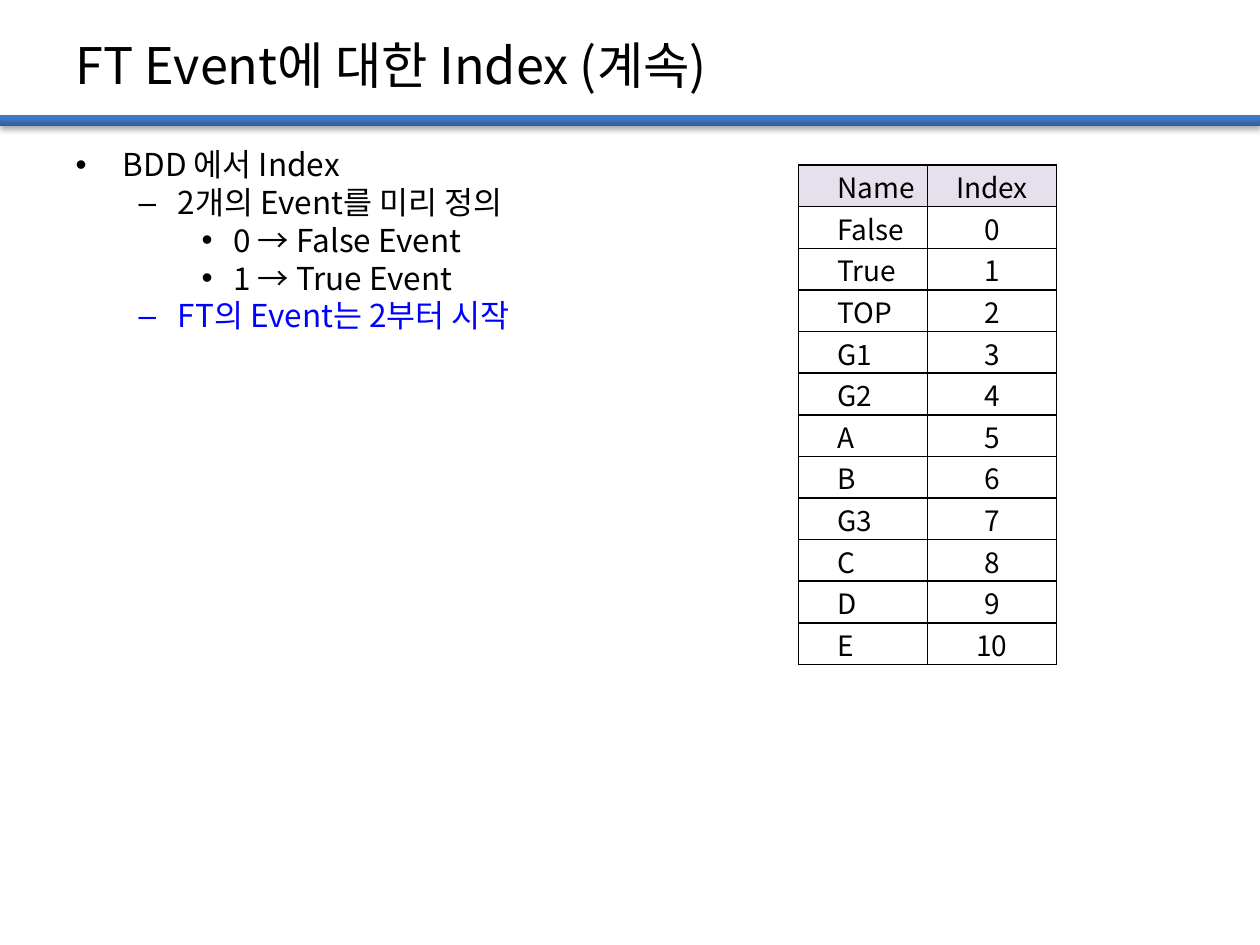
from lxml.etree import SubElement
from pptx import Presentation
from pptx.dml.color import RGBColor
from pptx.enum.shapes import MSO_SHAPE as Shape
from pptx.enum.text import MSO_ANCHOR as Anchor, MSO_AUTO_SIZE as AutoSize, PP_ALIGN as Align
from pptx.oxml import parse_xml
from pptx.oxml.ns import nsdecls, qn
from pptx.util import Pt


def color(value):
    return RGBColor.from_string(value)


def write(paragraph, text, size=18, ink="000000", font="Noto Sans CJK KR", align=Align.LEFT):
    paragraph.alignment = align
    run = paragraph.add_run()
    run.text = text
    run.font.size = Pt(size)
    run.font.name = font
    run.font.color.rgb = color(ink)
    SubElement(run.font._element, qn("a:ea")).set("typeface", font)


class Deck:
    border = "000000"
    header_fill = "E6E0EC"
    bar_stops = ((0, "2F5F99"), (80, "3D7CC7"), (100, "3A7CCB"))
    indents = ((27, -27), (58.5, -22.5), (90, -18))

    def __init__(self, width, height):
        self.file = Presentation()
        self.file.slide_width, self.file.slide_height = Pt(width), Pt(height)
        self.slide = self.file.slides.add_slide(self.file.slide_layouts[1])

    def place(self, placeholder, left, top, width, height, anchor):
        placeholder.left, placeholder.top = Pt(left), Pt(top)
        placeholder.width, placeholder.height = Pt(width), Pt(height)
        frame = placeholder.text_frame
        frame.word_wrap = True
        frame.auto_size = AutoSize.NONE
        frame.vertical_anchor = anchor
        return frame

    def bar(self, left, top, width, height):
        bar = self.slide.shapes.add_shape(Shape.RECTANGLE, Pt(left), Pt(top), Pt(width), Pt(height))
        bar.line.fill.background()
        stops = "".join(
            f'<a:gs pos="{at * 1000}"><a:srgbClr val="{tone}"/></a:gs>' for at, tone in self.bar_stops)
        properties = bar._element.spPr
        properties.find(qn("a:prstGeom")).addnext(parse_xml(
            f'<a:gradFill {nsdecls("a")} rotWithShape="1"><a:gsLst>{stops}</a:gsLst>'
            '<a:lin ang="16200000" scaled="0"/></a:gradFill>'))
        properties.append(parse_xml(
            f'<a:effectLst {nsdecls("a")}><a:outerShdw blurRad="{Pt(3.1)}" dist="{Pt(1.8)}" '
            'dir="5400000" rotWithShape="0"><a:srgbClr val="000000"><a:alpha val="35000"/>'
            '</a:srgbClr></a:outerShdw></a:effectLst>'))
        self.slide.shapes._spTree.insert(2, bar._element)

    def title(self, text, *box):
        frame = self.place(self.slide.shapes.title, *box, Anchor.MIDDLE)
        write(frame.paragraphs[0], text, size=28.8)

    def outline(self, points, *box):
        frame = self.place(self.slide.placeholders[1], *box, Anchor.TOP)
        for number, (level, text, ink) in enumerate(points):
            point = frame.add_paragraph() if number else frame.paragraphs[0]
            point.level = level
            point.line_spacing = 0.85
            point.space_before = Pt(3.2)
            write(point, text, ink=ink)
            margin, hanging = self.indents[level]
            properties = point._p.get_or_add_pPr()
            properties.set("marL", str(Pt(margin)))
            properties.set("indent", str(Pt(hanging)))

    def cell(self, cell, text, inset, align, header):
        cell.margin_left, cell.margin_right = Pt(inset), Pt(0.7)
        cell.margin_top, cell.margin_bottom = Pt(0.7), 0
        cell.vertical_anchor = Anchor.MIDDLE
        properties = cell._tc.get_or_add_tcPr()
        for side in ("L", "R", "T", "B"):
            properties.append(parse_xml(
                f'<a:ln{side} {nsdecls("a")} w="{Pt(1)}"><a:solidFill>'
                f'<a:srgbClr val="{self.border}"/></a:solidFill></a:ln{side}>'))
        if header:
            cell.fill.solid()
            cell.fill.fore_color.rgb = color(self.header_fill)
        else:
            cell.fill.background()
        write(cell.text_frame.paragraphs[0], text, size=16, align=align)

    def table(self, rows, left, top, column_width, row_height):
        table = self.slide.shapes.add_table(
            len(rows), 2, Pt(left), Pt(top), Pt(2 * column_width), Pt(row_height * len(rows))).table
        table.first_row = table.horz_banding = False
        for column in table.columns:
            column.width = Pt(column_width)
        for number, (name, index) in enumerate(rows):
            table.rows[number].height = Pt(row_height)
            self.cell(table.cell(number, 0), name, 22.3, Align.LEFT, number == 0)
            self.cell(table.cell(number, 1), index, 0.7, Align.CENTER, number == 0)


deck = Deck(720, 540)
deck.bar(0, 66, 720, 5.8)
deck.title("FT Event에 대한 Index (계속)", 36, 15, 648, 44)
deck.outline([
    (0, "BDD 에서 Index", "000000"),
    (1, "2개의 Event를 미리 정의", "000000"),
    (2, "0 → False Event", "000000"),
    (2, "1 → True Event", "000000"),
    (1, "FT의 Event는 2부터 시작", "0000FF"),
], 36, 82.8, 318, 400)
events = ["False", "True", "TOP", "G1", "G2", "A", "B", "G3", "C", "D", "E"]
index_rows = [("Name", "Index")] + [(event, str(index)) for index, event in enumerate(events)]
deck.table(index_rows, 456.3, 94.3, 73.7, 23.8)
deck.file.save("out.pptx")
